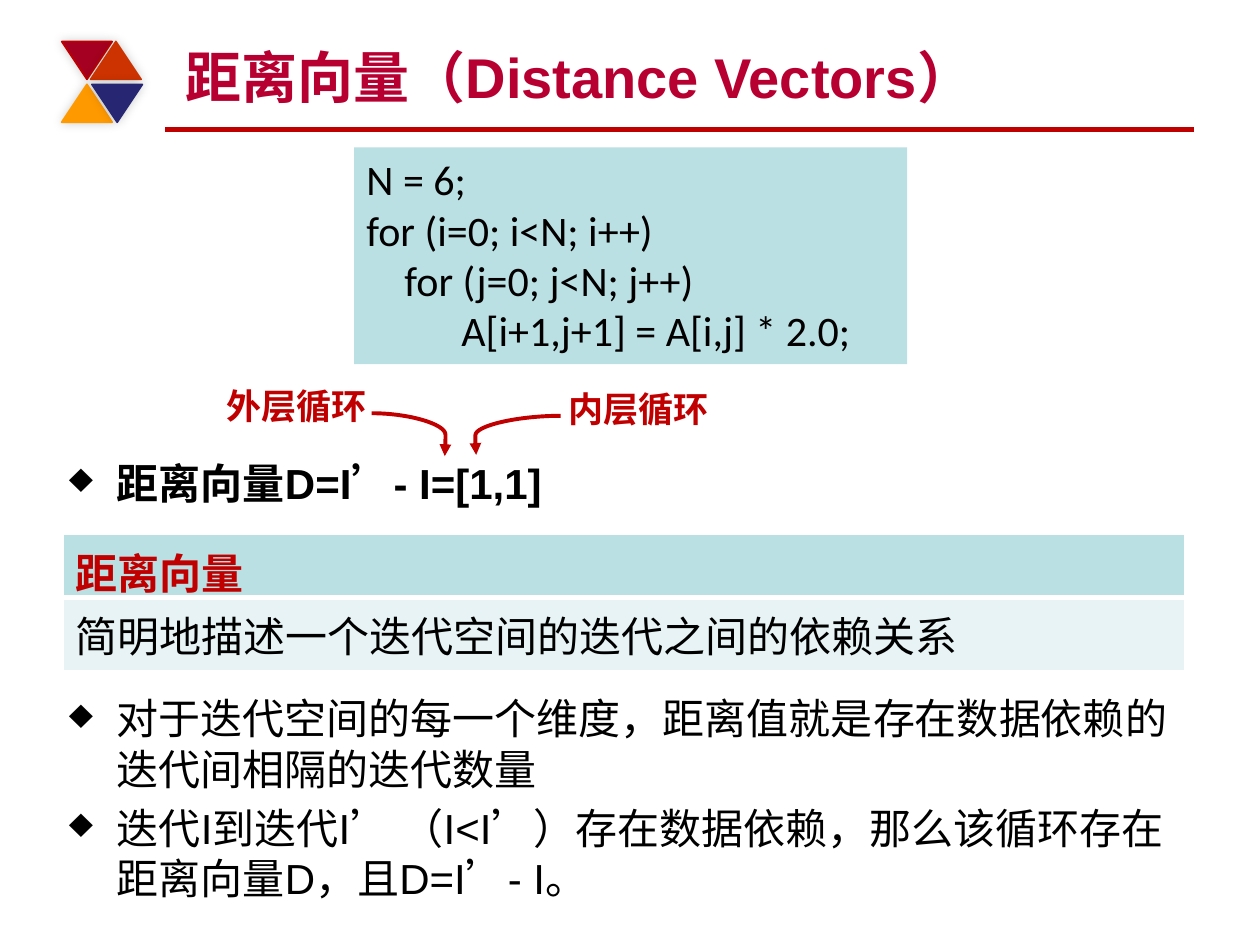
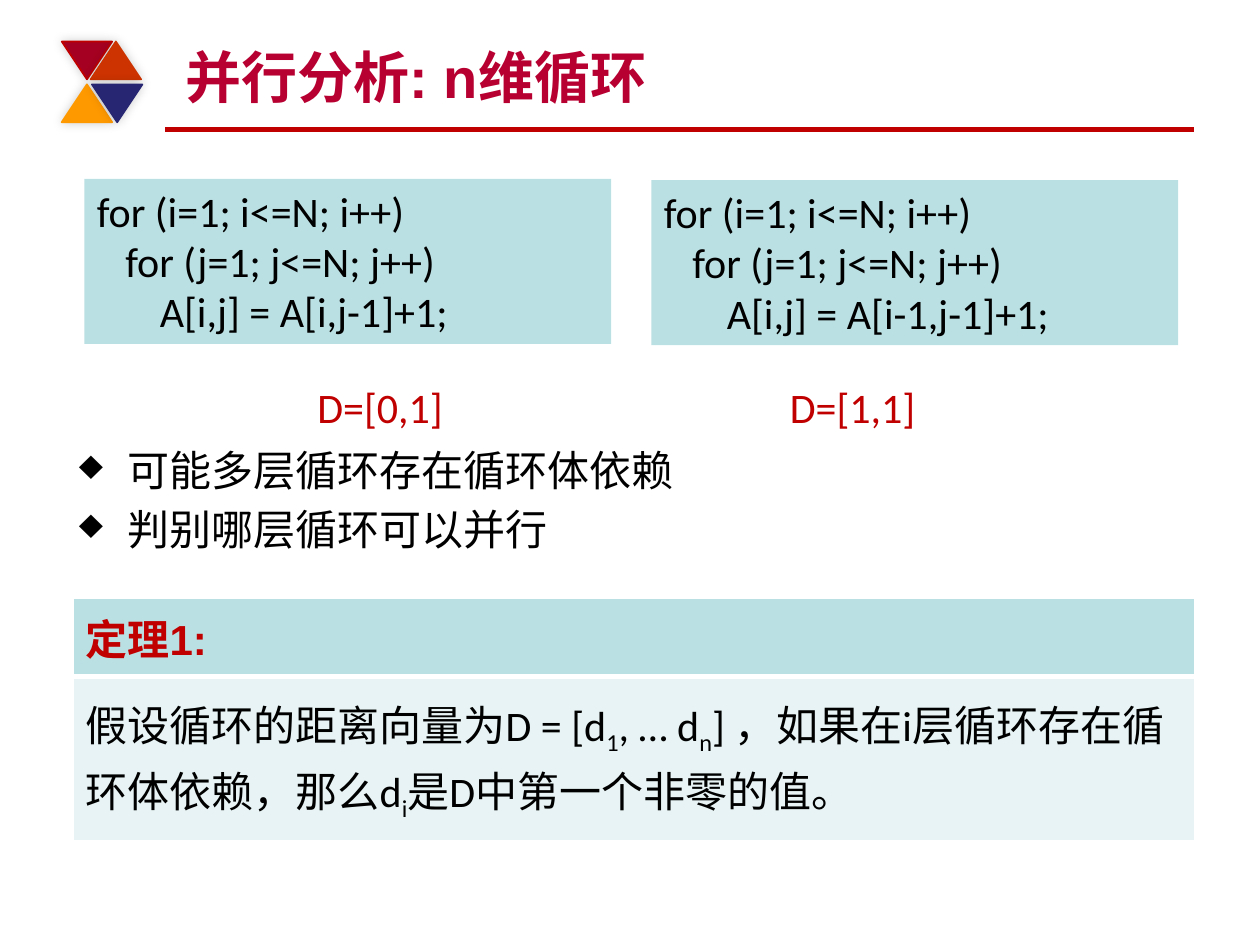
from dataclasses import dataclass

from lxml import etree
from pptx import Presentation
from pptx.dml.color import RGBColor
from pptx.enum.lang import MSO_LANGUAGE_ID
from pptx.enum.shapes import MSO_CONNECTOR, MSO_SHAPE
from pptx.enum.text import MSO_ANCHOR, MSO_AUTO_SIZE, PP_ALIGN
from pptx.oxml.ns import qn
from pptx.util import Inches, Pt

STRAIGHT, CURVE = MSO_CONNECTOR.STRAIGHT, MSO_CONNECTOR.CURVE
RECTANGLE, TRIANGLE = MSO_SHAPE.RECTANGLE, MSO_SHAPE.ISOSCELES_TRIANGLE
TOP, MIDDLE, BOTTOM = MSO_ANCHOR.TOP, MSO_ANCHOR.MIDDLE, MSO_ANCHOR.BOTTOM
LEFT = PP_ALIGN.LEFT
NO_AUTOFIT = MSO_AUTO_SIZE.NONE
CHINESE = MSO_LANGUAGE_ID.SIMPLIFIED_CHINESE

COLORS = {
    "title": "B70031", "red": "C00000", "text": "000000", "white": "FFFFFF",
    "panel": "BBE0E3", "pale": "E7F3F4",
    "crimson": "A50021", "orange": "CC3300", "amber": "FF9900", "navy": "262673",
}
TITLE = {"name": "Arial", "size": Pt(32), "bold": True, "color": "title"}
BODY = {"name": "Arial", "size": Pt(24), "bold": False, "color": "text"}
STRONG = {**BODY, "bold": True}
HEADING = {**STRONG, "color": "red"}
LABEL = {**HEADING, "size": Pt(20)}
CODE = {**BODY, "name": "Calibri"}
VECTOR = {**CODE, "color": "red"}


@dataclass(frozen=True)
class Area:
    left: float
    top: float
    width: float
    height: float

    def lengths(self) -> list:
        return [Inches(value) for value in (self.left, self.top, self.width, self.height)]


@dataclass(frozen=True)
class EmblemPart:
    left: float
    top: float
    rotation: int
    fill: str
    line: str


@dataclass(frozen=True)
class Span:
    text: str
    subscript: bool = False


@dataclass(frozen=True)
class Definition:
    area: Area
    row_heights: tuple
    heading: str
    statement: list
    style: dict


EMBLEM = [
    EmblemPart(0.49, 0.33, 180, "crimson", "red"),
    EmblemPart(0.72, 0.33, 0, "orange", "orange"),
    EmblemPart(0.49, 0.67, 0, "amber", "amber"),
    EmblemPart(0.73, 0.67, 180, "navy", "navy"),
]


def color(name: str) -> RGBColor:
    return RGBColor.from_string(COLORS[name])


def add_xml(parent, tag: str, **attributes):
    return etree.SubElement(parent, qn(tag), attributes)


def apply_font(font, style: dict) -> None:
    for name, value in style.items():
        if name == "color":
            font.color.rgb = color(value)
        else:
            setattr(font, name, value)
    font.language_id = CHINESE


def write(frame, paragraphs: list, style: dict, bullet: bool = False) -> None:
    """Fill a text frame; a paragraph is a string or a list of spans."""
    for index, content in enumerate(paragraphs):
        para = frame.add_paragraph() if index else frame.paragraphs[0]
        para.alignment = LEFT
        if bullet:
            properties = para._p.get_or_add_pPr()
            properties.set("marL", str(Inches(0.38)))
            properties.set("indent", str(-Inches(0.38)))
            add_xml(properties, "a:buChar", char="♦")
            if index:
                para.space_before = Pt(4.8)
        for span in [Span(content)] if isinstance(content, str) else content:
            run = para.add_run()
            run.text = span.text
            apply_font(run.font, style)
            if span.subscript:
                run.font._element.set("baseline", "-25000")


def add_text(page, area: Area, paragraphs: list, style: dict,
             bullet: bool = False, wrap: bool = True) -> None:
    frame = page.shapes.add_textbox(*area.lengths()).text_frame
    frame.word_wrap = wrap
    write(frame, paragraphs, style, bullet)


def add_code(page, area: Area, lines: list) -> None:
    box = page.shapes.add_shape(RECTANGLE, *area.lengths())
    box.shadow.inherit = False
    box.fill.solid()
    box.fill.fore_color.rgb = color("panel")
    box.line.fill.background()
    box.text_frame.vertical_anchor = TOP
    box.text_frame.word_wrap = True
    write(box.text_frame, lines, CODE)


def add_line(page, kind, start: tuple, end: tuple, width: float):
    points = [Inches(value) for value in (*start, *end)]
    line = page.shapes.add_connector(kind, *points)
    line.line.color.rgb = color("red")
    line.line.width = Pt(width)
    add_xml(line._element.spPr, "a:effectLst")
    return line


def add_curved_arrow(page, start: tuple, end: tuple) -> None:
    arrow = add_line(page, CURVE, start, end, 2.25)
    properties = arrow._element.spPr
    add_xml(properties.find(qn("a:ln")), "a:tailEnd", type="triangle")
    guides = properties.find(qn("a:prstGeom")).find(qn("a:avLst"))
    add_xml(guides, "a:gd", name="adj1", fmla="val 101000")


def add_emblem_part(page, part: EmblemPart) -> None:
    triangle = page.shapes.add_shape(
        TRIANGLE, *Area(part.left, part.top, 0.4, 0.3).lengths())
    triangle.rotation = part.rotation
    triangle.fill.solid()
    triangle.fill.fore_color.rgb = color(part.fill)
    triangle.line.color.rgb = color(part.line)
    triangle.line.width = Pt(1)
    effects = add_xml(triangle._element.spPr, "a:effectLst")
    shadow = add_xml(effects, "a:outerShdw", blurRad=str(Pt(6)), dist="0",
                     dir="18900000", rotWithShape="0")
    shade = add_xml(shadow, "a:srgbClr", val=COLORS["text"])
    add_xml(shade, "a:alpha", val="20000")


def add_page(deck, title: str):
    """Start a slide with the shared rule, emblem and title."""
    page = deck.slides.add_slide(deck.slide_layouts[5])
    add_line(page, STRAIGHT, (1.31, 1.03), (9.48, 1.03), 3)
    for part in EMBLEM:
        add_emblem_part(page, part)
    holder = page.shapes.title
    holder.left, holder.top, holder.width, holder.height = Area(1.37, 0.25, 8, 0.67).lengths()
    frame = holder.text_frame
    frame.auto_size = NO_AUTOFIT
    frame.vertical_anchor = BOTTOM
    write(frame, [title], TITLE)
    return page


def set_borders(cell, widths: dict) -> None:
    properties = cell._tc.get_or_add_tcPr()
    for index, (side, width) in enumerate(widths.items()):
        border = etree.Element(qn(f"a:ln{side}"), w=str(Pt(width)))
        fill = add_xml(border, "a:solidFill")
        add_xml(fill, "a:srgbClr", val=COLORS["white"])
        properties.insert(index, border)


def add_definition(page, definition: Definition) -> None:
    table = page.shapes.add_table(2, 1, *definition.area.lengths()).table
    table.first_row = table.horz_banding = False
    rows = [
        (definition.heading, HEADING, "panel", {"L": 1, "R": 1, "T": 1, "B": 3}),
        (definition.statement, definition.style, "pale", {"L": 1, "R": 1, "T": 3, "B": 1}),
    ]
    for index, (content, style, fill, borders) in enumerate(rows):
        table.rows[index].height = Inches(definition.row_heights[index])
        cell = table.cell(index, 0)
        cell.vertical_anchor = MIDDLE
        cell.fill.solid()
        cell.fill.fore_color.rgb = color(fill)
        set_borders(cell, borders)
        write(cell.text_frame, [content], style)


def build_distance_vectors(deck) -> None:
    page = add_page(deck, "距离向量（Distance Vectors）")
    add_text(page, Area(0.45, 3.58, 8.95, 0.5), ["距离向量D=I’- I=[1,1]"], STRONG, bullet=True)
    add_text(page, Area(0.45, 5.45, 8.95, 1.63), [
        "对于迭代空间的每一个维度，距离值就是存在数据依赖的迭代间相隔的迭代数量",
        "迭代I到迭代I’ （I<I’）存在数据依赖，那么该循环存在距离向量D，且D=I’- I。",
    ], BODY, bullet=True)
    add_code(page, Area(2.81, 1.17, 4.39, 1.72), [
        "N = 6;",
        "for (i=0; i<N; i++)",
        "    for (j=0; j<N; j++)",
        "          A[i+1,j+1] = A[i,j] * 2.0;",
    ])
    add_definition(page, Definition(
        Area(0.5, 4.24, 8.9, 1.06), (0.48, 0.58), "距离向量",
        "简明地描述一个迭代空间的迭代之间的依赖关系", BODY))
    add_curved_arrow(page, (2.95, 3.28), (3.53, 3.62))
    add_text(page, Area(1.7, 3, 1.42, 0.44), ["外层循环"], LABEL)
    add_curved_arrow(page, (4.45, 3.3), (3.78, 3.61))
    add_text(page, Area(4.41, 3.03, 1.42, 0.44), ["内层循环"], LABEL)


def build_parallel_analysis(deck) -> None:
    page = add_page(deck, "并行分析: n维循环")
    add_text(page, Area(0.53, 3.48, 8.95, 1.1),
             ["可能多层循环存在循环体依赖", "判别哪层循环可以并行"], BODY, bullet=True)
    loops = [
        (0.67, 1.42, "A[i,j] = A[i,j-1]+1;", 2.42, "D=[0,1]"),
        (5.17, 1.43, "A[i,j] = A[i-1,j-1]+1;", 6.17, "D=[1,1]"),
    ]
    for left, top, statement, vector_left, vector in loops:
        add_code(page, Area(left, top, 4.18, 1.31), [
            "for (i=1; i<=N; i++)", "   for (j=1; j<=N; j++)", "\t" + statement])
        add_text(page, Area(vector_left, 2.98, 1.21, 0.5), [vector], VECTOR, wrap=False)
    add_definition(page, Definition(
        Area(0.58, 4.75, 8.9, 1.92), (0.62, 1.3), "定理1:", [
            Span("假设循环的距离向量为D = [d"), Span("1", True),
            Span(", … d"), Span("n", True),
            Span("] ，如果在i层循环存在循环体依赖，那么d"), Span("i", True),
            Span("是D中第一个非零的值。"),
        ], CODE))


def main() -> None:
    deck = Presentation()
    deck.slide_width, deck.slide_height = Inches(10), Inches(7.5)
    build_distance_vectors(deck)
    build_parallel_analysis(deck)
    deck.save("out.pptx")


if __name__ == "__main__":
    main()
